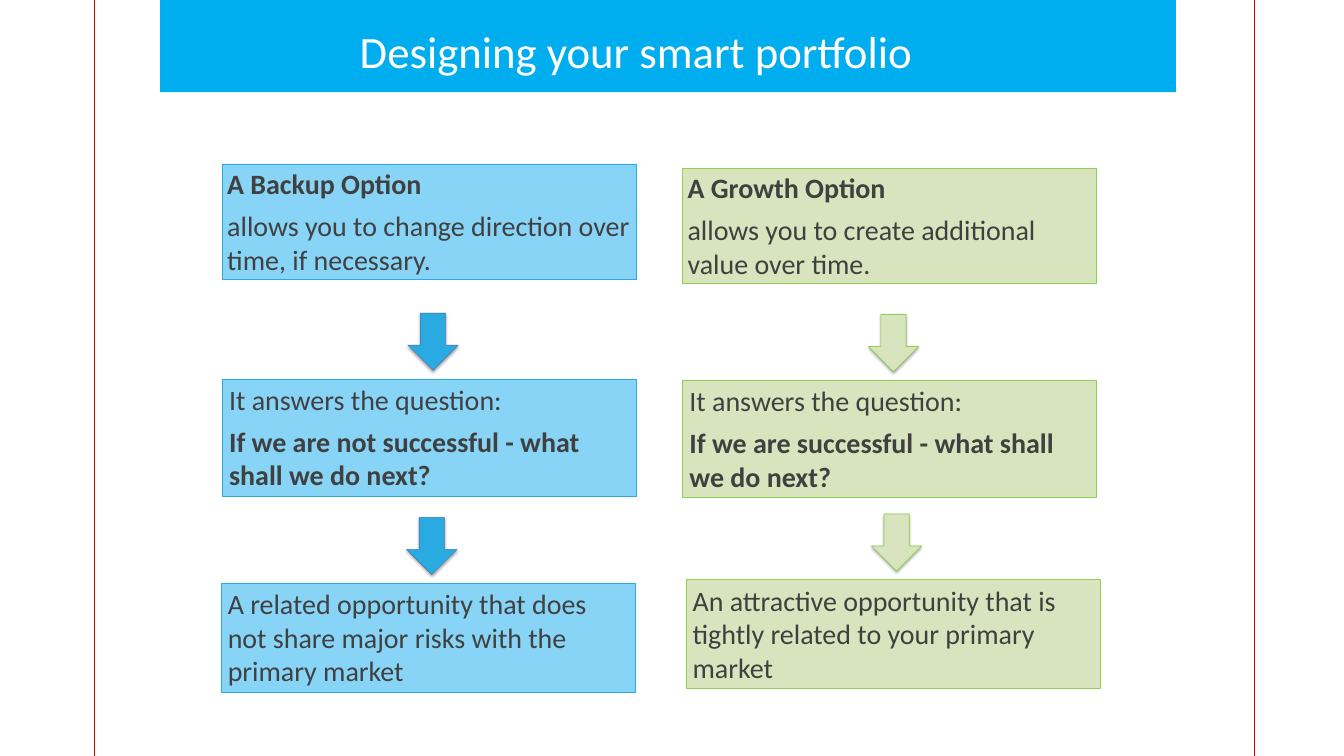
from lxml.etree import SubElement
from pptx import Presentation
from pptx.dml.color import RGBColor
from pptx.enum.shapes import MSO_CONNECTOR, MSO_SHAPE
from pptx.enum.text import MSO_ANCHOR, MSO_AUTO_SIZE, PP_ALIGN
from pptx.oxml.ns import qn
from pptx.util import Cm, Pt

WHITE = RGBColor(0xFF, 0xFF, 0xFF)
BLACK = RGBColor(0x00, 0x00, 0x00)
GREY = RGBColor(0x40, 0x40, 0x40)
RED = RGBColor(0xC0, 0x00, 0x00)
CYAN = RGBColor(0x00, 0xAE, 0xEF)
SKY = RGBColor(0x87, 0xD4, 0xF7)
BLUE = RGBColor(0x29, 0xAB, 0xE2)
STEEL = RGBColor(0x4B, 0x7E, 0xBC)
SAGE = RGBColor(0xD7, 0xE4, 0xBD)
GREEN = RGBColor(0x92, 0xD0, 0x50)

FONT = "Calibri"
WIDE, HIGH = 50.8, 28.58
BOX = 15.65
HEIGHTS = (4.37, 4.42, 4.11)

BACKUP = (
    (8.41, 6.2, (("A Backup Option", True),
                 ("allows you to change direction over time, if necessary.", False))),
    (8.41, 14.33, (("It answers the question:", False),
                   ("If we are not successful - what shall we do next?", True))),
    (8.36, 22.05, (("A related opportunity that does not share major risks "
                    "with the primary market", False),)),
)
GROWTH = (
    (25.81, 6.35, (("A Growth Option", True),
                   ("allows you to create additional value over time.", False))),
    (25.81, 14.38, (("It answers the question:", False),
                    ("If we are successful - what shall we do next?", True))),
    (25.93, 21.92, (("An attractive opportunity that is tightly related "
                     "to your primary market", False),)),
)


def style(para, text, size, color, bold=False):
    para.text = text
    para.font.name = FONT
    para.font.size = Pt(size)
    para.font.color.rgb = color
    para.font.bold = bold


def add_rule(slide, x):
    rule = slide.shapes.add_connector(
        MSO_CONNECTOR.STRAIGHT, Cm(x), Cm(0), Cm(x), Cm(HIGH))
    rule.line.color.rgb = RED
    rule.line.width = Pt(0.75)
    SubElement(rule._element.spPr, qn("a:effectLst"))


def add_form(slide, kind, x, y, w, h, fill, edge=None):
    form = slide.shapes.add_shape(kind, Cm(x), Cm(y), Cm(w), Cm(h))
    form.shadow.inherit = False
    form.fill.solid()
    form.fill.fore_color.rgb = fill
    if edge is None:
        form.line.fill.background()
    else:
        form.line.color.rgb = edge
        form.line.width = Pt(0.75)
    return form


def add_title(slide, text):
    add_form(slide, MSO_SHAPE.RECTANGLE, 6.05, 0, 38.4, 3.48, CYAN)
    title = slide.shapes.add_textbox(Cm(7.29), Cm(0.76), Cm(33.5), Cm(3.45))
    frame = title.text_frame
    frame.word_wrap = True
    para = frame.paragraphs[0]
    style(para, text, 48, WHITE)
    para.alignment = PP_ALIGN.CENTER


def add_box(slide, x, y, h, lines, fill, edge):
    box = add_form(slide, MSO_SHAPE.RECTANGLE, x, y, BOX, h, fill, edge)
    frame = box.text_frame
    frame.word_wrap = True
    frame.auto_size = MSO_AUTO_SIZE.SHAPE_TO_FIT_TEXT
    frame.vertical_anchor = MSO_ANCHOR.TOP
    for i, (text, bold) in enumerate(lines):
        para = frame.add_paragraph() if i else frame.paragraphs[0]
        style(para, text, 30, GREY, bold)
        para.alignment = PP_ALIGN.LEFT
        para.space_after = Pt(8.9)
    return frame


def add_arrow(slide, x, y, fill, edge):
    arrow = add_form(slide, MSO_SHAPE.DOWN_ARROW, x, y, 1.9, 2.16, fill, edge)
    effects = arrow._element.spPr.find(qn("a:effectLst"))
    shadow = SubElement(effects, qn("a:outerShdw"), blurRad=str(Pt(3.1)),
                        dist=str(Pt(1.8)), dir="5400000", rotWithShape="0")
    color = SubElement(shadow, qn("a:srgbClr"), val=str(BLACK))
    SubElement(color, qn("a:alpha"), val="35000")


def add_column(slide, steps, fill, edge, tip, rim):
    for i, (x, y, lines) in enumerate(steps):
        frame = add_box(slide, x, y, HEIGHTS[i], lines, fill, edge)
        if i:
            add_arrow(slide, x + 7.01, y - 2.49, tip, rim)
        else:
            frame.margin_left = frame.margin_right = Cm(0.18)
            frame.margin_top = frame.margin_bottom = Cm(0.1)


def main():
    deck = Presentation()
    deck.slide_width, deck.slide_height = Cm(WIDE), Cm(HIGH)
    slide = deck.slides.add_slide(deck.slide_layouts[6])
    for x in (3.56, 47.4):
        add_rule(slide, x)
    add_title(slide, "Designing your smart portfolio")
    add_column(slide, BACKUP, SKY, BLUE, BLUE, STEEL)
    add_column(slide, GROWTH, SAGE, GREEN, SAGE, GREEN)
    deck.save("out.pptx")


if __name__ == "__main__":
    main()
